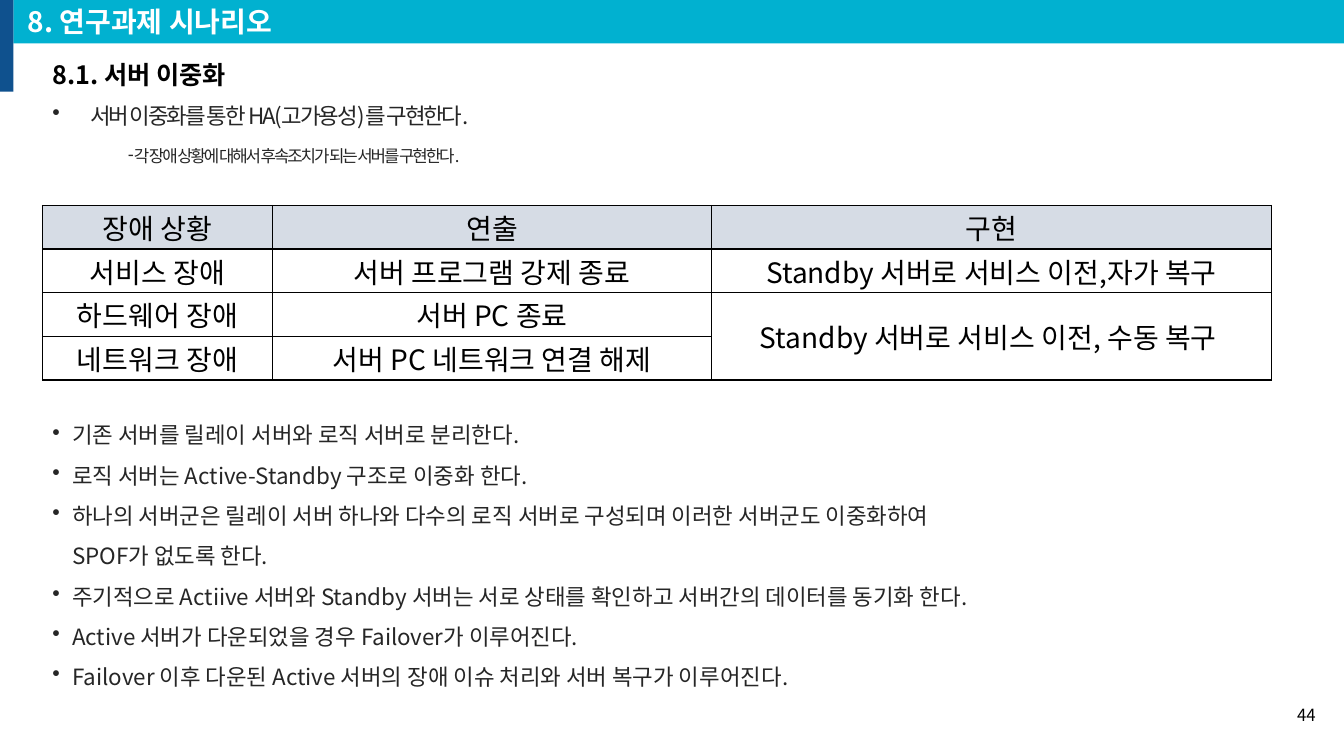
from dataclasses import dataclass

import pptx
import pptx.dml.color
import pptx.enum.shapes
import pptx.enum.text
import pptx.oxml
import pptx.oxml.ns
import pptx.util

Pt = pptx.util.Pt
Align = pptx.enum.text.PP_ALIGN
Anchor = pptx.enum.text.MSO_ANCHOR
qn = pptx.oxml.ns.qn

FONT = "Noto Sans CJK KR"
BLACK = "000000"
BODY = "262626"


@dataclass
class Line:
    text: str
    size: float
    color: str = BLACK
    bold: bool = False
    align: Align = Align.LEFT
    margin: float = 0
    indent: float = 0
    bullet: str = ""
    leading: float = 1.0
    after: float = 0
    tracking: float = 0


@dataclass
class TextBox:
    left: float
    top: float
    width: float
    height: float
    lines: list[Line]
    anchor: Anchor = Anchor.TOP


def color_of(value: str) -> pptx.dml.color.RGBColor:
    return pptx.dml.color.RGBColor.from_string(value)


def apply(target, values: dict) -> None:
    for name, value in values.items():
        setattr(target, name, value)


def place(shape, left: float, top: float, width: float, height: float) -> None:
    apply(shape, {"left": Pt(left), "top": Pt(top), "width": Pt(width), "height": Pt(height)})


def fill(target, color: str) -> None:
    target.fill.solid()
    target.fill.fore_color.rgb = color_of(color)


def write_span(para, text: str, line: Line) -> None:
    span = para.add_run()
    span.text = text
    apply(span.font, {"name": FONT, "size": Pt(line.size), "bold": line.bold})
    span.font.color.rgb = color_of(line.color)
    properties = span.font._element
    pptx.oxml.ns.qn("a:ea")
    east_asian = properties.makeelement(qn("a:ea"), {"typeface": FONT})
    properties.find(qn("a:latin")).addnext(east_asian)
    if line.tracking:
        properties.set("spc", str(round(line.tracking * 100)))


def write_line(para, line: Line) -> None:
    apply(para, {"alignment": line.align, "line_spacing": line.leading,
                 "space_before": Pt(0), "space_after": Pt(line.after)})
    properties = para._p.get_or_add_pPr()
    properties.set("marL", str(Pt(line.margin)))
    properties.set("indent", str(Pt(line.indent)))
    tag, values = ("a:buChar", {"char": line.bullet}) if line.bullet else ("a:buNone", {})
    properties.append(properties.makeelement(qn(tag), values))
    for index, text in enumerate(line.text.split("\n")):
        if index:
            para.add_line_break()
        write_span(para, text, line)


def write_frame(frame, lines: list[Line], anchor: Anchor) -> None:
    apply(frame, {"word_wrap": True, "vertical_anchor": anchor,
                  "auto_size": pptx.enum.text.MSO_AUTO_SIZE.NONE})
    for index, line in enumerate(lines):
        write_line(frame.add_paragraph() if index else frame.paragraphs[0], line)


def draw_box(page, item: TextBox) -> None:
    box = page.shapes.add_textbox(0, 0, 0, 0)
    place(box, item.left, item.top, item.width, item.height)
    write_frame(box.text_frame, item.lines, item.anchor)


def draw_title(page, text: str) -> None:
    accent = page.shapes.add_shape(pptx.enum.shapes.MSO_SHAPE.RECTANGLE, 0, 0, 0, 0)
    place(accent, 0, 0, 9.5, 65.5)
    fill(accent, "0F518E")
    accent.line.fill.background()
    accent.shadow.inherit = False
    title = page.shapes.title
    place(title, 9.5, 0, 950.5, 31)
    fill(title, "01B1D0")
    write_frame(title.text_frame, [Line(text, 20, "FFFFFF", True, margin=3)], Anchor.MIDDLE)


def border_cell(cell) -> None:
    properties = cell._tc.get_or_add_tcPr()
    for position, side in enumerate(("lnL", "lnR", "lnT", "lnB")):
        border = pptx.oxml.parse_xml(
            f'<a:{side} xmlns:a="http://schemas.openxmlformats.org/drawingml/2006/main" w="12700">'
            f'<a:solidFill><a:srgbClr val="{BLACK}"/></a:solidFill></a:{side}>')
        properties.insert(position, border)


def draw_table(page, rows: list[list[str]], widths: list[float]) -> None:
    height = 31.2
    table = page.shapes.add_table(
        len(rows), len(widths), Pt(30.3), Pt(146.7), Pt(sum(widths)), Pt(height * len(rows))).table
    for column, width in zip(table.columns, widths):
        column.width = Pt(width)
    table.cell(2, 2).merge(table.cell(3, 2))
    for index, texts in enumerate(rows):
        table.rows[index].height = Pt(height)
        for column, text in enumerate(texts):
            cell = table.cell(index, column)
            apply(cell, {"margin_top": Pt(1), "margin_bottom": Pt(1),
                         "vertical_anchor": Anchor.MIDDLE if index else Anchor.TOP})
            fill(cell, "FFFFFF" if index else "D6DCE5")
            border_cell(cell)
            if text:
                write_line(cell.text_frame.paragraphs[0], Line(text, 20, align=Align.CENTER))


FAILURES = [
    ["장애 상황", "연출", "구현"],
    ["서비스 장애", "서버 프로그램 강제 종료", "Standby 서버로 서비스 이전,자가 복구"],
    ["하드웨어 장애", "서버 PC 종료", "Standby 서버로 서비스 이전, 수동 복구 "],
    ["네트워크 장애", "서버 PC 네트워크 연결 해제", ""],
]
STEPS = [
    "기존 서버를 릴레이 서버와 로직 서버로 분리한다.",
    "로직 서버는 Active-Standby 구조로 이중화 한다.",
    "하나의 서버군은 릴레이 서버 하나와 다수의 로직 서버로 구성되며 이러한 서버군도 이중화하여 \nSPOF가 없도록 한다.",
    "주기적으로 Actiive 서버와 Standby 서버는 서로 상태를 확인하고 서버간의 데이터를 동기화 한다.",
    "Active 서버가 다운되었을 경우 Failover가 이루어진다.",
    "Failover 이후 다운된 Active 서버의 장애 이슈 처리와 서버 복구가 이루어진다.",
]
BOXES = [
    TextBox(916, 496, 31, 29, [Line("44", 12, align=Align.RIGHT)], Anchor.MIDDLE),
    TextBox(30.3, 39, 294, 29, [Line("8.1. 서버 이중화", 18, bold=True)]),
    TextBox(30.3, 65.5, 510.5, 73.5, [
        Line("서버 이중화를 통한 HA(고가용성)를 구현한다.", 16, BODY, margin=27, indent=-27,
             bullet="•", leading=1.2, after=5, tracking=-1.5),
        Line("각 장애 상황에 대해서 후속조치가 되는 서버를 구현한다.", 12, BODY, margin=27, indent=27,
             bullet="‐", leading=1.5, tracking=-1.5),
    ]),
    TextBox(30.3, 288, 878, 208, [
        Line(step, 16, BODY, margin=14.2, indent=-22.3, bullet="•", leading=1.5) for step in STEPS
    ]),
]


def main() -> None:
    deck = pptx.Presentation()
    apply(deck, {"slide_width": Pt(960), "slide_height": Pt(540)})
    page = deck.slides.add_slide(deck.slide_layouts[5])
    draw_title(page, "8. 연구과제 시나리오")
    for item in BOXES:
        draw_box(page, item)
    draw_table(page, FAILURES, [164.2, 314, 399.5])
    deck.save("out.pptx")


if __name__ == "__main__":
    main()
